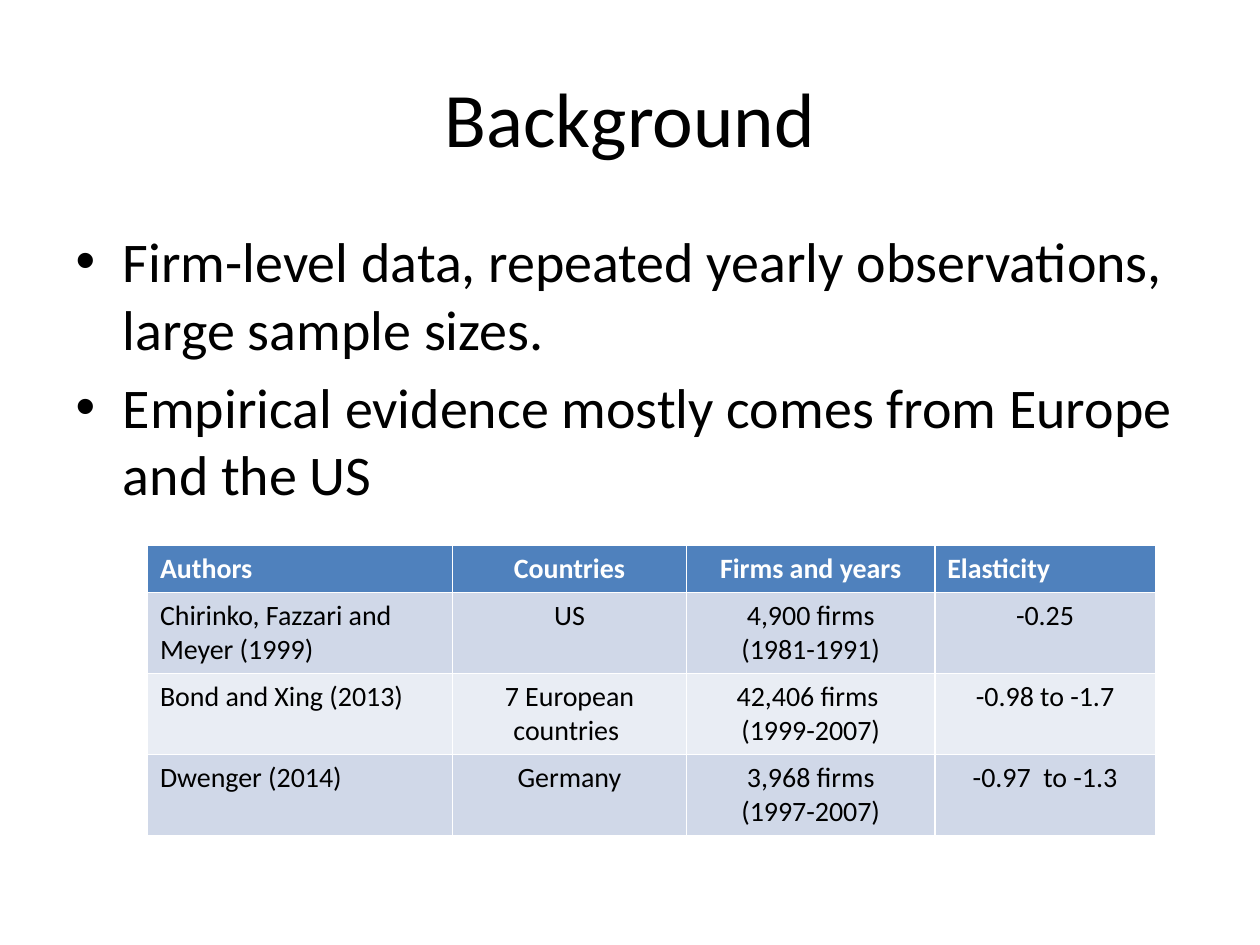
from pptx import Presentation
from pptx.dml.color import RGBColor
from pptx.enum.text import MSO_ANCHOR, PP_ALIGN as Align
from pptx.util import Inches, Pt

BLACK = RGBColor(0x00, 0x00, 0x00)
WHITE = RGBColor(0xFF, 0xFF, 0xFF)
HEADER_BLUE = RGBColor(0x4F, 0x81, 0xBD)
BANDS = (RGBColor(0xD0, 0xD8, 0xE8), RGBColor(0xE9, 0xED, 0xF4))
FONT = "Calibri"

POINTS = (
    "Firm-level data, repeated yearly observations, large sample sizes.",
    "Empirical evidence mostly comes from Europe and the US",
)
HEADINGS = ("Authors", "Countries", "Firms and years", "Elasticity")
STUDIES = (
    ("Chirinko, Fazzari and Meyer (1999)", "US", "4,900 firms\n(1981-1991)", "-0.25"),
    ("Bond and Xing (2013)", "7 European countries ", "42,406 firms \n(1999-2007)", "-0.98 to -1.7"),
    ("Dwenger (2014)", "Germany", "3,968 firms\n(1997-2007)", "-0.97  to -1.3"),
)
COLUMN_WIDTHS = (2.42, 1.86, 1.97, 1.75)
HEADER_HEIGHT, STUDY_HEIGHT = 0.37, 0.64


def write(frame, text, size, color, align=None, bold=None):
    """Fill a text frame, one paragraph per line, in a single style."""
    frame.text = text
    for para in frame.paragraphs:
        para.alignment = align
        para.font.name = FONT
        para.font.size = Pt(size)
        para.font.bold = bold
        para.font.color.rgb = color


def place(box, left, top, width, height):
    """Move and size a placeholder, in inches."""
    box.left, box.top = Inches(left), Inches(top)
    box.width, box.height = Inches(width), Inches(height)


def add_heading(page):
    """Write the page title."""
    title = page.shapes.title
    place(title, 0.5, 0.3, 9, 1.25)
    title.text_frame.vertical_anchor = MSO_ANCHOR.MIDDLE
    write(title.text_frame, "Background", 44, BLACK, Align.CENTER)


def add_points(page):
    """Write the bulleted list."""
    body = page.placeholders[1]
    place(body, 0.5, 1.75, 9, 4.95)
    write(body.text_frame, "\n".join(POINTS), 32, BLACK)


def add_studies(page):
    """Add the table of elasticity estimates."""
    rows = (HEADINGS, *STUDIES)
    heights = [HEADER_HEIGHT] + [STUDY_HEIGHT] * len(STUDIES)
    table = page.shapes.add_table(
        len(rows), len(HEADINGS), Inches(1.17), Inches(4.33),
        Inches(sum(COLUMN_WIDTHS)), Inches(sum(heights)),
    ).table
    for column, width in zip(table.columns, COLUMN_WIDTHS):
        column.width = Inches(width)
    for row, height in zip(table.rows, heights):
        row.height = Inches(height)
    for r, texts in enumerate(rows):
        is_header = r == 0
        for c, text in enumerate(texts):
            cell = table.cell(r, c)
            cell.fill.solid()
            cell.fill.fore_color.rgb = HEADER_BLUE if is_header else BANDS[(r - 1) % 2]
            is_left = c == 0 or text == "Elasticity"
            write(cell.text_frame, text, 16, WHITE if is_header else BLACK,
                  Align.LEFT if is_left else Align.CENTER, is_header)


def main():
    """Build the deck and save it."""
    deck = Presentation()
    deck.slide_width, deck.slide_height = Inches(10), Inches(7.5)
    page = deck.slides.add_slide(deck.slide_layouts[1])
    add_heading(page)
    add_points(page)
    add_studies(page)
    deck.save("out.pptx")


if __name__ == "__main__":
    main()
